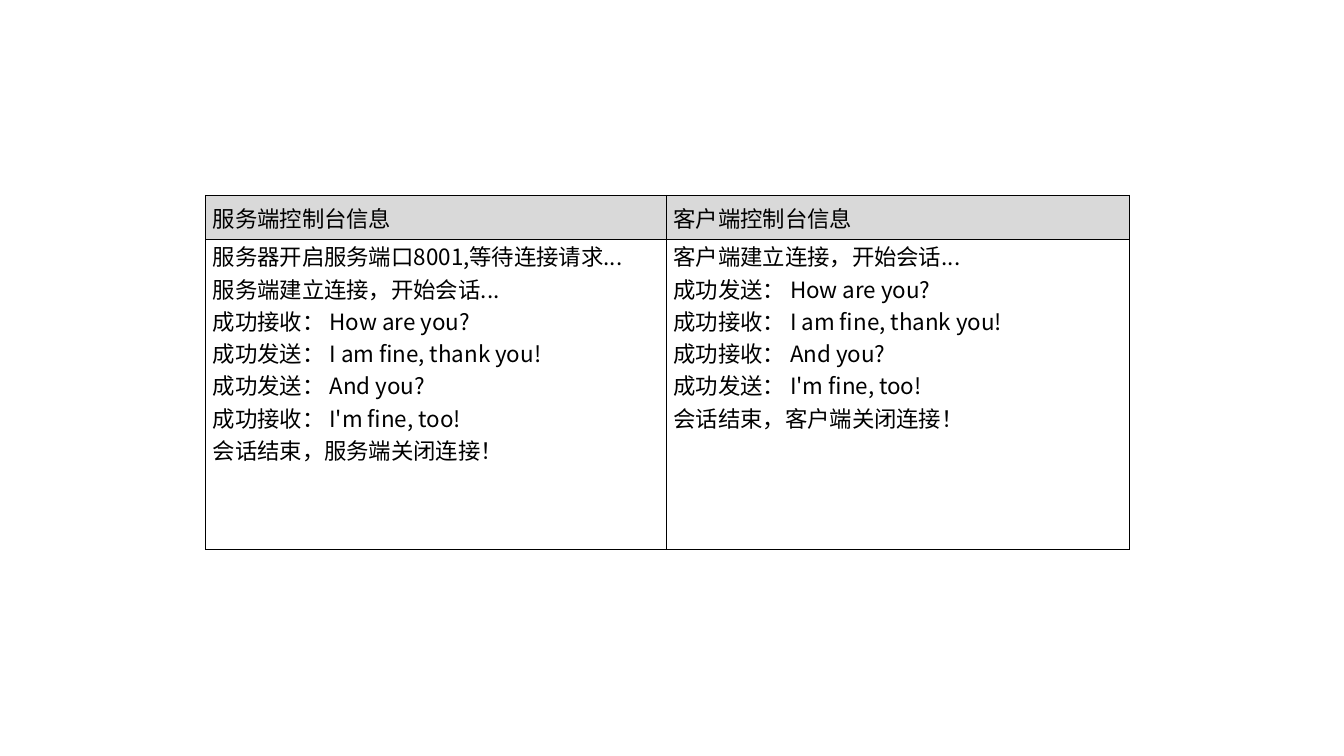
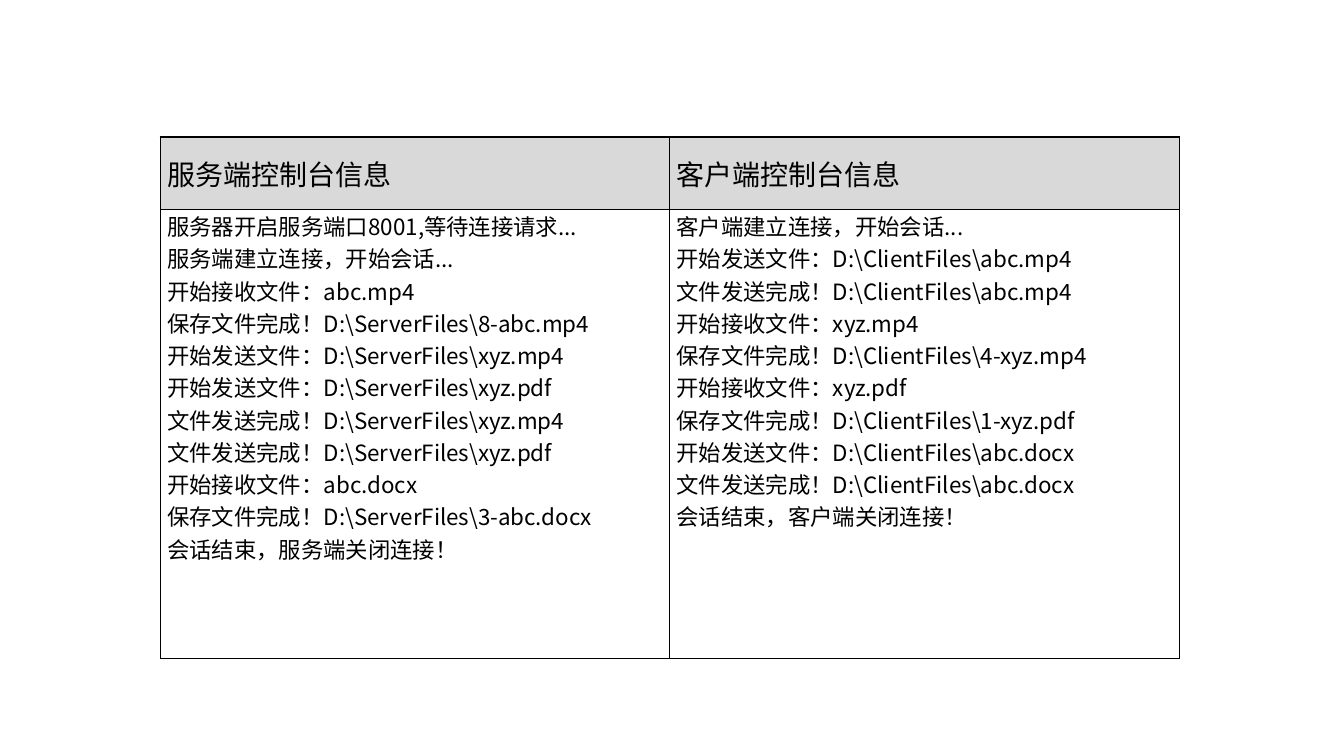
from lxml import etree
from pptx import Presentation
from pptx.dml.color import RGBColor
from pptx.enum.text import MSO_ANCHOR, PP_ALIGN
from pptx.oxml.ns import qn
from pptx.util import Inches, Pt

HEADERS = ["服务端控制台信息", "客户端控制台信息"]
CHAT_LOGS = [
    [
        "服务器开启服务端口8001,等待连接请求...",
        "服务端建立连接,开始会话...".replace(",", "，"),
        "成功接收： How are you?",
        "成功发送： I am fine, thank you!",
        "成功发送： And you?",
        "成功接收： I'm fine, too!",
        "会话结束，服务端关闭连接！",
    ],
    [
        "客户端建立连接，开始会话...",
        "成功发送： How are you?",
        "成功接收： I am fine, thank you!",
        "成功接收： And you?",
        "成功发送： I'm fine, too!",
        "会话结束，客户端关闭连接！",
    ],
]
CHAT_LOGS[0][1] = "服务端建立连接，开始会话..."
FILE_LOGS = [
    [
        "服务器开启服务端口8001,等待连接请求...",
        "服务端建立连接，开始会话...",
        "开始接收文件：abc.mp4",
        "保存文件完成！D:\\ServerFiles\\8-abc.mp4",
        "开始发送文件：D:\\ServerFiles\\xyz.mp4",
        "开始发送文件：D:\\ServerFiles\\xyz.pdf",
        "文件发送完成！D:\\ServerFiles\\xyz.mp4",
        "文件发送完成！D:\\ServerFiles\\xyz.pdf",
        "开始接收文件：abc.docx",
        "保存文件完成！D:\\ServerFiles\\3-abc.docx",
        "会话结束，服务端关闭连接！",
    ],
    [
        "客户端建立连接，开始会话...",
        "开始发送文件：D:\\ClientFiles\\abc.mp4",
        "文件发送完成！D:\\ClientFiles\\abc.mp4",
        "开始接收文件：xyz.mp4",
        "保存文件完成！D:\\ClientFiles\\4-xyz.mp4",
        "开始接收文件：xyz.pdf",
        "保存文件完成！D:\\ClientFiles\\1-xyz.pdf",
        "开始发送文件：D:\\ClientFiles\\abc.docx",
        "文件发送完成！D:\\ClientFiles\\abc.docx",
        "会话结束，客户端关闭连接！",
    ],
]
SLIDES = [
    {"logs": CHAT_LOGS, "at": (2.04, 1.94), "cols": (4.57, 4.59),
     "rows": (0.44, 3.07), "header_size": 16},
    {"logs": FILE_LOGS, "at": (1.59, 1.36), "cols": (5.05, 5.06),
     "rows": (0.72, 4.45), "header_size": 20},
]
COLORS = {"ink": "000000", "header": "D9D9D9"}
FONT = "Noto Sans CJK SC"
LOG_SIZE = 16


def add_borders(cell):
    tc_pr = cell._tc.get_or_add_tcPr()
    for side in ("a:lnL", "a:lnR", "a:lnT", "a:lnB"):
        ln = etree.SubElement(tc_pr, qn(side), w=str(Pt(1)))
        fill = etree.SubElement(ln, qn("a:solidFill"))
        etree.SubElement(fill, qn("a:srgbClr"), val=COLORS["ink"])


def write_lines(cell, lines, size):
    tf = cell.text_frame
    for i, line in enumerate(lines):
        p = tf.add_paragraph() if i else tf.paragraphs[0]
        p.alignment = PP_ALIGN.JUSTIFY
        r = p.add_run()
        r.text = line
        r.font.size = Pt(size)
        r.font.name = FONT
        r.font.color.rgb = RGBColor.from_string(COLORS["ink"])
        etree.SubElement(r.font._element, qn("a:ea"), typeface=FONT)


def format_cell(cell, is_header):
    cell.margin_left = cell.margin_right = Inches(0.07)
    cell.margin_top = cell.margin_bottom = 0
    cell.vertical_anchor = MSO_ANCHOR.MIDDLE if is_header else MSO_ANCHOR.TOP
    add_borders(cell)
    if is_header:
        cell.fill.solid()
        cell.fill.fore_color.rgb = RGBColor.from_string(COLORS["header"])
    else:
        cell.fill.background()


def add_console_table(s, logs, at, cols, rows, header_size):
    frame = s.shapes.add_table(len(rows), len(cols), Inches(at[0]), Inches(at[1]),
                               Inches(sum(cols)), Inches(sum(rows)))
    table = frame.table
    table.first_row = table.horz_banding = False
    for row, height in zip(table.rows, rows):
        row.height = Inches(height)
    for c, (width, header, log) in enumerate(zip(cols, HEADERS, logs)):
        table.columns[c].width = Inches(width)
        write_lines(table.cell(0, c), [header], header_size)
        write_lines(table.cell(1, c), log, LOG_SIZE)
        for r in range(len(rows)):
            format_cell(table.cell(r, c), r == 0)


prs = Presentation()
prs.slide_width, prs.slide_height = Inches(13.33), Inches(7.5)
for content in SLIDES:
    add_console_table(prs.slides.add_slide(prs.slide_layouts[6]), **content)
prs.save("out.pptx")
